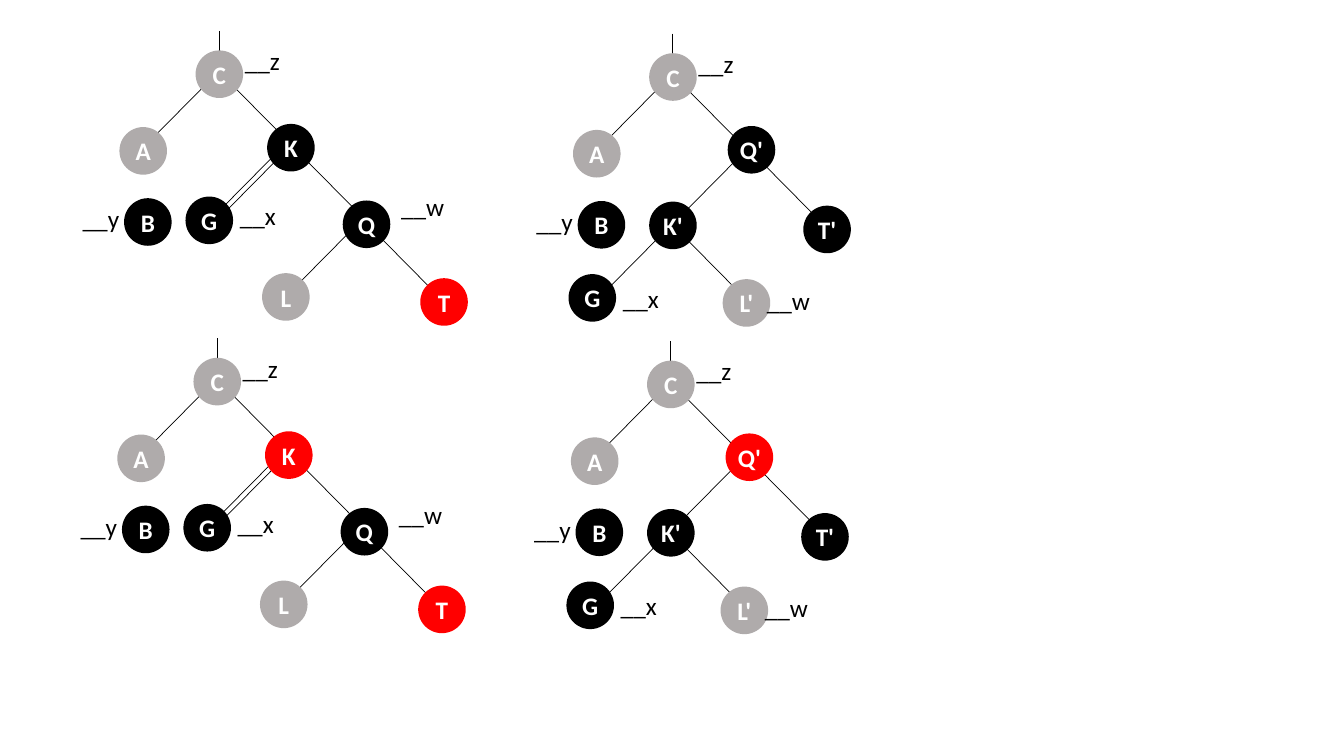
from lxml import etree
from pptx import Presentation
from pptx.dml.color import RGBColor
from pptx.enum import shapes, text
from pptx.oxml.ns import qn
from pptx.util import Pt

BLACK, RED, GRAY, WHITE = "000000", "FF0000", "AFABAB", "FFFFFF"
NODE = 34
EDGE_RUN, EDGE_DROP, STEM = 53, 53.6, 25.4
LEFT, RIGHT = -1, 1


def color(hex_code):
    return RGBColor.from_string(hex_code)


def add_line(s, x, y, dx, dy):
    line = s.shapes.add_connector(
        shapes.MSO_CONNECTOR.STRAIGHT, Pt(x), Pt(y), Pt(x + dx), Pt(y + dy))
    line.line.color.rgb = color(BLACK)
    line.line.width = Pt(0.5)
    etree.SubElement(line._element.spPr, qn("a:effectLst"))


def write(tf, content, font_color, bold=False):
    p = tf.paragraphs[0]
    p.text = content
    p.font.name = "Calibri"
    p.font.size = Pt(18)
    p.font.bold = bold
    p.font.color.rgb = color(font_color)
    return p


def add_node(s, x, y, key, fill):
    sp = s.shapes.add_shape(
        shapes.MSO_SHAPE.OVAL, Pt(x), Pt(y), Pt(NODE), Pt(NODE))
    sp.shadow.inherit = False
    sp.fill.solid()
    sp.fill.fore_color.rgb = color(fill)
    sp.line.fill.background()
    tf = sp.text_frame
    tf.margin_left = tf.margin_right = tf.margin_top = tf.margin_bottom = 0
    tf.vertical_anchor = text.MSO_ANCHOR.MIDDLE
    write(tf, key, WHITE, bold=True).alignment = text.PP_ALIGN.CENTER


def add_label(s, x, y, name):
    tf = s.shapes.add_textbox(Pt(x), Pt(y), Pt(47.5), Pt(29)).text_frame
    tf.word_wrap = True
    tf.auto_size = text.MSO_AUTO_SIZE.SHAPE_TO_FIT_TEXT
    write(tf, "__" + name, BLACK)


def draw_tree(s, left, top, edges, nodes, labels):
    """Draw the parts every tree shares together with its own subtree."""
    edges = [(104, 29.2, LEFT), (104.5, 29.2, RIGHT)] + edges
    nodes = [(87.7, 14, "C", GRAY), (33.3, 68.8, "A", GRAY),
             (36.6, 119.6, "B", BLACK)] + nodes
    labels = [(115.8, 6.9, "z"), (0, 120, "y")] + labels
    add_line(s, left + 104.5, top, 0, STEM)
    for x, y, side in edges:
        add_line(s, left + x, top + y, side * EDGE_RUN, EDGE_DROP)
    for x, y, key, fill in nodes:
        add_node(s, left + x, top + y, key, fill)
    for x, y, name in labels:
        add_label(s, left + x, top + y, name)


def tree_before(s, left, top, subtree_root):
    draw_tree(
        s, left, top,
        edges=[(148.2, 84.6, LEFT), (153.2, 84.6, LEFT), (159, 84.6, RIGHT),
               (204.3, 137.1, LEFT), (211.5, 139.3, RIGHT)],
        nodes=[(138.8, 66.5, "K", subtree_root), (80.5, 118.4, "G", BLACK),
               (192.8, 121.2, "Q", BLACK), (135.2, 173.1, "L", GRAY),
               (248.2, 176.7, "T", RED)],
        labels=[(112.2, 117.7, "x"), (227.4, 111.2, "w")])


def tree_after(s, left, top, subtree_root):
    draw_tree(
        s, left, top,
        edges=[(161.8, 78.2, LEFT), (161.1, 84.7, RIGHT),
               (104.2, 135.8, LEFT), (106.4, 138.7, RIGHT)],
        nodes=[(143.8, 66, "Q'", subtree_root), (87.7, 120, "K'", BLACK),
               (197.8, 122.9, "T'", BLACK), (30.1, 171.8, "G", BLACK),
               (140.2, 175.4, "L'", GRAY)],
        labels=[(61.8, 174.7, "x"), (164.7, 176.2, "w")])


def main():
    prs = Presentation()
    prs.slide_width, prs.slide_height = Pt(960), Pt(540)
    s = prs.slides.add_slide(prs.slide_layouts[6])
    for row, subtree_root in enumerate((BLACK, RED)):
        dx, dy = -1.5 * row, 219.6 * row
        tree_before(s, 52 + dx, 22 + dy, subtree_root)
        tree_after(s, 376 + dx, 24 + dy, subtree_root)
    prs.save("out.pptx")


if __name__ == "__main__":
    main()
